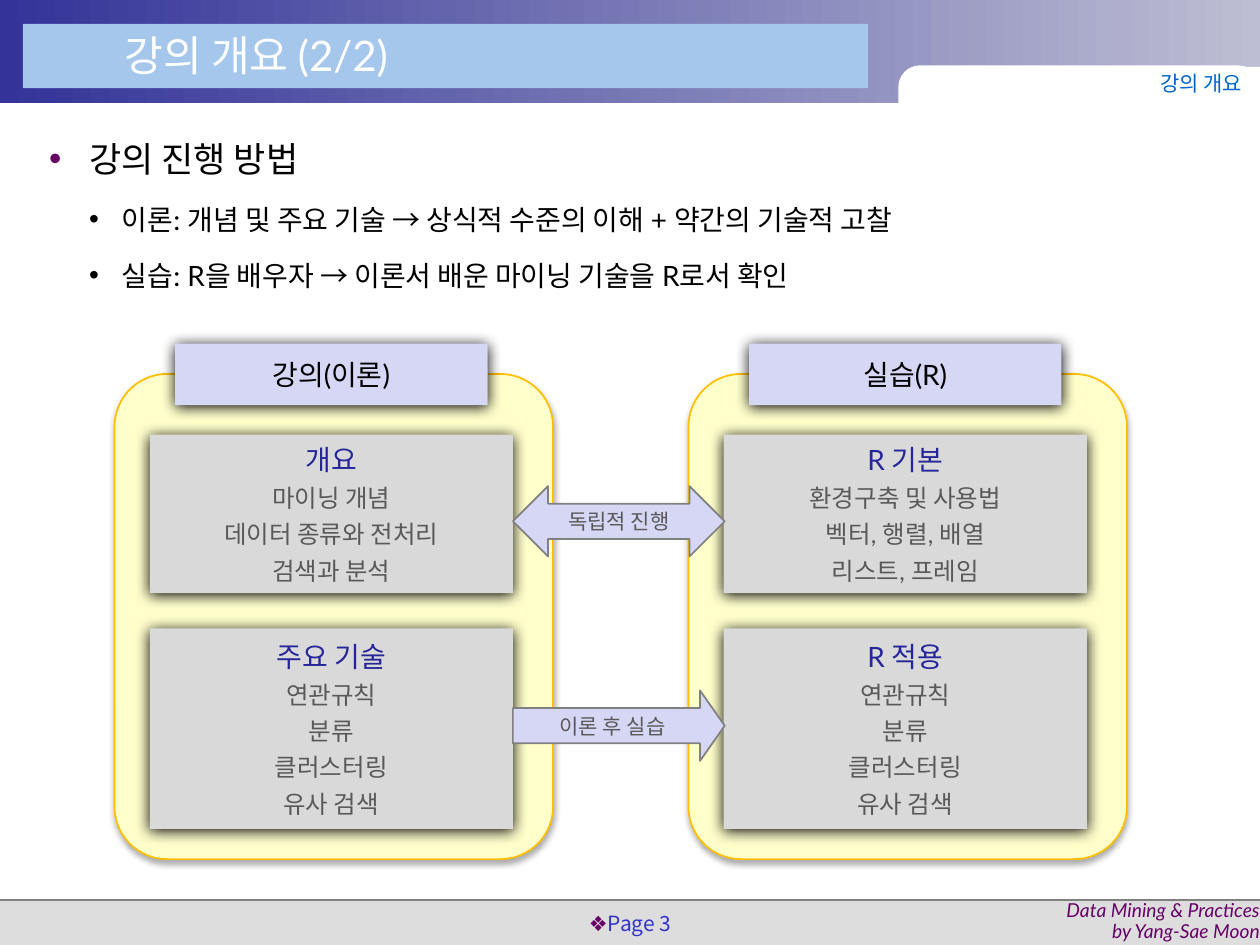
from dataclasses import dataclass
from typing import NamedTuple

from lxml import etree
from pptx import Presentation
from pptx.dml.color import RGBColor
from pptx.enum.shapes import MSO_CONNECTOR, MSO_SHAPE
from pptx.enum.text import MSO_ANCHOR, PP_ALIGN
from pptx.oxml.ns import qn
from pptx.util import Cm, Pt

RECT, ROUND = MSO_SHAPE.RECTANGLE, MSO_SHAPE.ROUNDED_RECTANGLE
BOTH_WAYS, RIGHTWARD = MSO_SHAPE.LEFT_RIGHT_ARROW, MSO_SHAPE.RIGHT_ARROW
LEFT, CENTER, RIGHT = PP_ALIGN.LEFT, PP_ALIGN.CENTER, PP_ALIGN.RIGHT
TOP, MIDDLE = MSO_ANCHOR.TOP, MSO_ANCHOR.MIDDLE
LATIN, HANGUL = "Lato", "Noto Sans CJK KR"
COLORS = {
    "white": "FFFFFF", "black": "000000", "footer": "DDDDDD", "rule": "808080",
    "header_start": "333399", "header_end": "BDBDD3", "title_bar": "A6C7EC",
    "panel": "FFFFCC", "panel_edge": "FFC000", "lavender": "D6D6F5",
    "card": "D9D9D9", "topic": "262699", "detail": "595959",
    "plum": "660066", "page": "3333CC", "section": "0066CC",
}


class Box(NamedTuple):
    """Left, top, width and height in centimetres."""
    left: float
    top: float
    width: float
    height: float


class Shadow(NamedTuple):
    opacity: int
    blur: float
    distance: float


class Bullet(NamedTuple):
    char: str
    color: str
    margin: float = 0
    hanging: float = 0


@dataclass
class Line:
    text: str
    size: float
    color: str
    align: int = CENTER
    font: str = LATIN
    italic: bool = False
    spacing: float = 1.0
    before: float = 0
    after: float = 0
    bullet: Bullet | None = None


@dataclass
class Card:
    topic: str
    details: list[str]


@dataclass
class Track:
    left: float
    heading: str
    cards: list[Card]


PANEL_SHADOW, CARD_SHADOW = Shadow(32, 3.5, 2.2), Shadow(100, 8.5, 1)
CARD_ROWS = [(8.76, 3.2), (12.67, 4.04)]
TECHNIQUES = ["연관규칙", "분류", "클러스터링", "유사 검색"]
TRACKS = [
    Track(2.31, "강의(이론)", [
        Card("개요", ["마이닝 개념", "데이터 종류와 전처리", "검색과 분석"]),
        Card("주요 기술", TECHNIQUES)]),
    Track(13.88, "실습(R)", [
        Card("R 기본", ["환경구축 및 사용법", "벡터, 행렬, 배열", "리스트, 프레임"]),
        Card("R 적용", TECHNIQUES)]),
]
METHODS = [
    "이론: 개념 및 주요 기술 → 상식적 수준의 이해 + 약간의 기술적 고찰",
    "실습: R을 배우자 → 이론서 배운 마이닝 기술을 R로서 확인",
]


def rgb(color: str) -> RGBColor:
    return RGBColor.from_string(COLORS[color])


def add_bullet(paragraph, bullet: Bullet) -> None:
    props = paragraph._p.get_or_add_pPr()
    props.set("marL", str(Cm(bullet.margin)))
    props.set("indent", str(-Cm(bullet.hanging)))
    tint = etree.SubElement(props, qn("a:buClr"))
    etree.SubElement(tint, qn("a:srgbClr"), val=COLORS[bullet.color])
    etree.SubElement(props, qn("a:buFont"), typeface="Arial")
    etree.SubElement(props, qn("a:buChar"), char=bullet.char)


def write(shape, lines: list[Line], anchor=MIDDLE, inset: float = 0.1,
          side_inset: float | None = None, wrap: bool = True) -> None:
    side = inset if side_inset is None else side_inset
    frame = shape.text_frame
    frame_format = {
        "word_wrap": wrap, "vertical_anchor": anchor,
        "margin_left": Cm(side), "margin_right": Cm(side),
        "margin_top": Cm(inset), "margin_bottom": Cm(inset),
    }
    for name, value in frame_format.items():
        setattr(frame, name, value)
    for index, line in enumerate(lines):
        paragraph = frame.add_paragraph() if index else frame.paragraphs[0]
        paragraph_format = {
            "alignment": line.align, "line_spacing": line.spacing,
            "space_before": Pt(line.before), "space_after": Pt(line.after),
        }
        for name, value in paragraph_format.items():
            setattr(paragraph, name, value)
        if line.bullet:
            add_bullet(paragraph, line.bullet)
        run = paragraph.add_run()
        run.text = line.text
        run_format = {"name": line.font, "size": Pt(line.size), "italic": line.italic}
        for name, value in run_format.items():
            setattr(run.font, name, value)
        run.font.color.rgb = rgb(line.color)
        etree.SubElement(run._r.get_or_add_rPr(), qn("a:ea"), typeface=HANGUL)


def add_block(slide, kind, box: Box, fill: str, edge: str | None = None,
              shadow: Shadow | None = None, adjust: dict[int, float] | None = None):
    block = slide.shapes.add_shape(kind, *map(Cm, box))
    block.fill.solid()
    block.fill.fore_color.rgb = rgb(fill)
    if edge:
        block.line.color.rgb = rgb(edge)
        block.line.width = Pt(1)
    else:
        block.line.fill.background()
    for index, value in (adjust or {}).items():
        block.adjustments[index] = value
    block.shadow.inherit = False
    if shadow:
        effects = block._element.spPr.find(qn("a:effectLst"))
        outer = etree.SubElement(
            effects, qn("a:outerShdw"), blurRad=str(Pt(shadow.blur)),
            dist=str(Pt(shadow.distance)), dir="5400000", algn="t", rotWithShape="0")
        tint = etree.SubElement(outer, qn("a:srgbClr"), val=COLORS["black"])
        etree.SubElement(tint, qn("a:alpha"), val=str(shadow.opacity * 1000))
    return block


def add_text(slide, box: Box, lines: list[Line], **layout) -> None:
    write(slide.shapes.add_textbox(*map(Cm, box)), lines, **layout)


def draw_backdrop(slide) -> None:
    add_block(slide, RECT, Box(0, 18.14, 25.4, 0.91), "footer")
    header = add_block(slide, RECT, Box(0, 0, 25.4, 2.08), "header_start")
    header.fill.gradient()
    header.fill.gradient_angle = 0
    for stop, color in zip(header.fill.gradient_stops, ("header_start", "header_end")):
        stop.color.rgb = rgb(color)
    rule = slide.shapes.add_connector(
        MSO_CONNECTOR.STRAIGHT, Cm(0), Cm(18.14), Cm(25.4), Cm(18.14))
    rule.line.color.rgb = rgb("rule")
    rule.line.width = Pt(1)
    etree.SubElement(rule._element.spPr, qn("a:effectLst"))
    add_block(slide, ROUND, Box(18.11, 1.32, 7.29, 1.5), "white", adjust={0: 0.29})
    add_block(slide, RECT, Box(23.11, 1.35, 2.29, 0.61), "white")
    add_block(slide, RECT, Box(0.46, 0.48, 17.04, 1.3), "title_bar")


def draw_track(slide, track: Track) -> None:
    add_block(slide, ROUND, Box(track.left, 7.54, 8.84, 9.78), "panel",
              "panel_edge", PANEL_SHADOW, {0: 0.12})
    heading = add_block(slide, RECT, Box(track.left + 1.22, 6.93, 6.3, 1.24),
                        "lavender", shadow=CARD_SHADOW)
    write(heading, [Line(track.heading, 16, "black")])
    for card, (top, height) in zip(track.cards, CARD_ROWS):
        block = add_block(slide, RECT, Box(track.left + 0.71, top, 7.32, height),
                          "card", shadow=CARD_SHADOW)
        details = [Line(text, 14, "detail", after=4) for text in card.details]
        write(block, [Line(card.topic, 16, "topic", after=4), *details])


def draw_arrow(slide, kind, top: float, text: str, adjust: dict[int, float]) -> None:
    arrow = add_block(slide, kind, Box(10.34, top, 4.27, 1.42), "lavender", "rule",
                      adjust=adjust)
    write(arrow, [Line(text, 12, "detail")])


def main() -> None:
    deck = Presentation()
    deck.slide_width, deck.slide_height = Cm(25.4), Cm(19.05)
    slide = deck.slides.add_slide(deck.slide_layouts[6])
    draw_backdrop(slide)
    add_text(slide, Box(20.5, 18.16, 4.9, 0.84), [
        Line(text, 11, "plum", RIGHT, italic=True, spacing=0.9)
        for text in ("Data Mining & Practices", "by Yang-Sae Moon")], inset=0)
    add_text(slide, Box(11.56, 18.29, 2.29, 0.71), [
        Line("Page 3", 12, "page", font=HANGUL, spacing=0.9, before=5,
             bullet=Bullet("❖", "plum"))], anchor=TOP, inset=0.13, side_inset=0.1)
    add_text(slide, Box(2.26, 0.46, 12.62, 1.27), [
        Line("강의 개요 (2/2)", 24, "white", LEFT)],
        anchor=TOP, inset=0.13, side_inset=0.25)
    methods = [Line(text, 16, "black", LEFT, spacing=1.5, before=1.6, after=1.6,
                    bullet=Bullet("•", "black", 1.47, 0.66)) for text in METHODS]
    add_text(slide, Box(0.89, 2.59, 23.8, 3.48), [
        Line("강의 진행 방법", 20, "black", LEFT, spacing=1.1, before=2, after=2,
             bullet=Bullet("•", "plum", 0.81, 0.81)), *methods], anchor=TOP)
    for track in TRACKS:
        draw_track(slide, track)
    draw_arrow(slide, BOTH_WAYS, 9.8, "독립적 진행", {})
    draw_arrow(slide, RIGHTWARD, 13.92, "이론 후 실습", {1: 0.35})
    add_text(slide, Box(23.11, 1.32, 2.03, 0.71), [
        Line("강의 개요", 12, "section", RIGHT)], wrap=False)
    deck.save("out.pptx")


if __name__ == "__main__":
    main()
